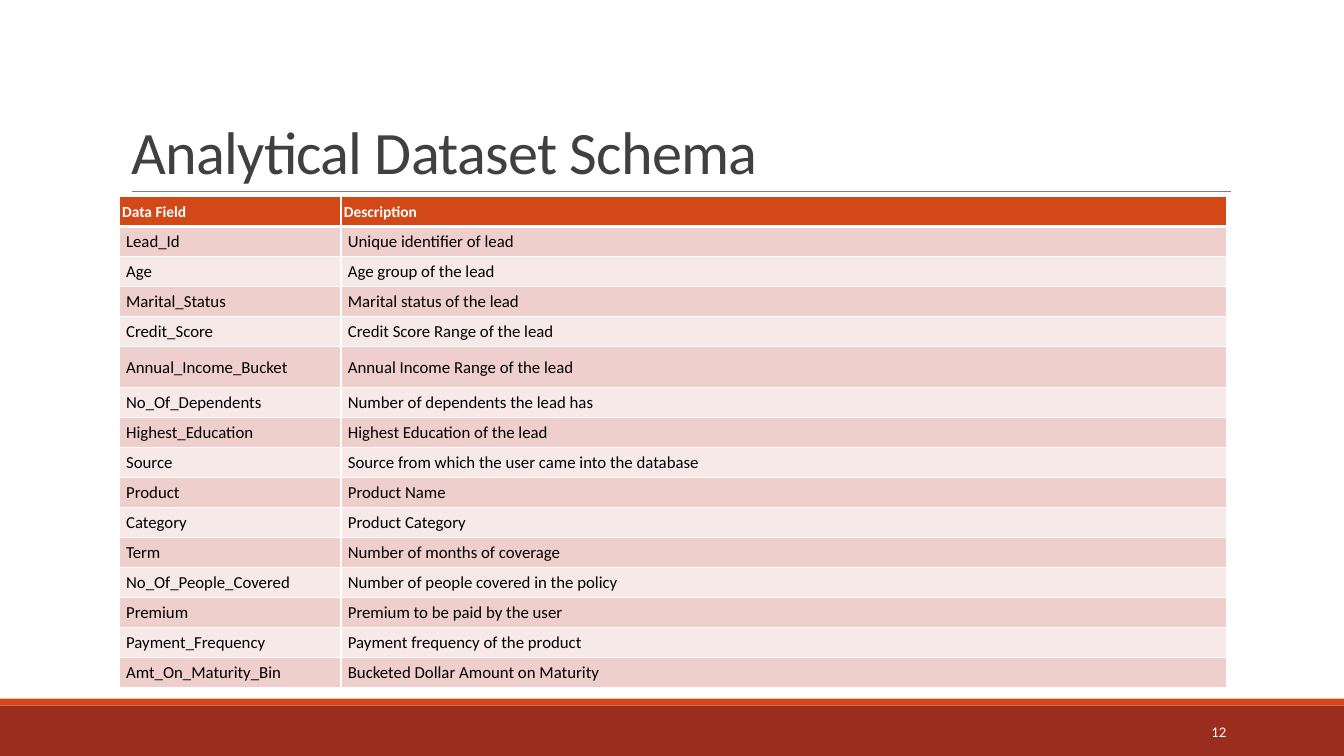
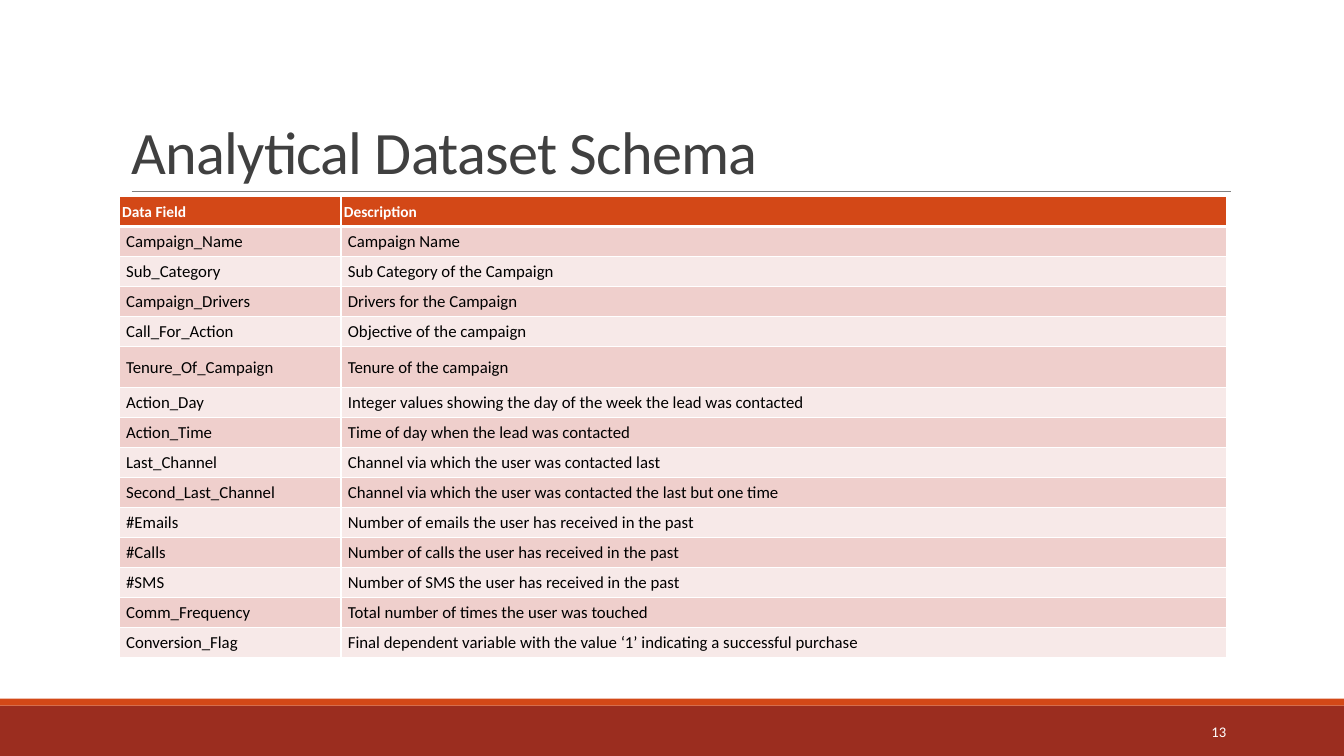
from lxml.etree import SubElement
from pptx import Presentation
from pptx.dml.color import RGBColor
from pptx.enum.shapes import MSO_CONNECTOR, MSO_SHAPE
from pptx.enum.text import MSO_ANCHOR, MSO_AUTO_SIZE, PP_ALIGN
from pptx.oxml import parse_xml
from pptx.oxml.ns import nsdecls, qn
from pptx.util import Pt

FONT = "Calibri"
WHITE, BLACK, TITLE_GREY, RULE_GREY = "FFFFFF", "000000", "404040", "808080"
ORANGE, BRICK = "D34817", "9B2D1F"
ROW_FILLS = ("F7E9E8", "EFCFCC")  # even rows, odd rows

TITLE = "Analytical Dataset Schema"
HEADER = ("Data Field", "Description")
FIRST_PAGE = 12
BANDS = ((504, 36, BRICK), (499, 5, ORANGE))  # top, height, colour
COL_WIDTHS = (158.4, 632.9)
ROW_HEIGHT, TALL_HEIGHT, TALL_ROW = 21.43, 29.2, 5

TABLES = [
    [
        ("Lead_Id", "Unique identifier of lead"),
        ("Age", "Age group of the lead"),
        ("Marital_Status", "Marital status of the lead"),
        ("Credit_Score", "Credit Score Range of the lead"),
        ("Annual_Income_Bucket", "Annual Income Range of the lead"),
        ("No_Of_Dependents", "Number of dependents the lead has"),
        ("Highest_Education", "Highest Education of the lead"),
        ("Source", "Source from which the user came into the database"),
        ("Product", "Product Name"),
        ("Category", "Product Category"),
        ("Term", "Number of months of coverage"),
        ("No_Of_People_Covered", "Number of people covered in the policy"),
        ("Premium", "Premium to be paid by the user"),
        ("Payment_Frequency", "Payment frequency of the product"),
        ("Amt_On_Maturity_Bin", "Bucketed Dollar Amount on Maturity"),
    ],
    [
        ("Campaign_Name", "Campaign Name"),
        ("Sub_Category", "Sub Category of the Campaign"),
        ("Campaign_Drivers", "Drivers for the Campaign"),
        ("Call_For_Action", "Objective of the campaign"),
        ("Tenure_Of_Campaign", "Tenure of the campaign"),
        ("Action_Day", "Integer values showing the day of the week the lead was contacted"),
        ("Action_Time", "Time of day when the lead was contacted"),
        ("Last_Channel", "Channel via which the user was contacted last"),
        ("Second_Last_Channel", "Channel via which the user was contacted the last but one time"),
        ("#Emails", "Number of emails the user has received in the past"),
        ("#Calls", "Number of calls the user has received in the past"),
        ("#SMS", "Number of SMS the user has received in the past"),
        ("Comm_Frequency", "Total number of times the user was touched"),
        ("Conversion_Flag", "Final dependent variable with the value ‘1’ indicating a successful purchase"),
    ],
]


def rgb(color):
    return RGBColor.from_string(color)


def set_text(tf, text, size, color, bold=False, align=PP_ALIGN.LEFT, spacing=1.0):
    """Write one formatted paragraph and return its run."""
    tf.text = text
    p = tf.paragraphs[0]
    p.alignment, p.line_spacing = align, spacing
    r = p.runs[0]
    r.font.name, r.font.size, r.font.bold = FONT, Pt(size), bold
    r.font.color.rgb = rgb(color)
    return r


prs = Presentation()
prs.slide_width, prs.slide_height = Pt(960), Pt(540)

for page, fields in enumerate(TABLES, FIRST_PAGE):
    s = prs.slides.add_slide(prs.slide_layouts.get_by_name("Title Only"))

    # Bands and title rule
    for top, height, color in BANDS:
        band = s.shapes.add_shape(MSO_SHAPE.RECTANGLE, 0, Pt(top), prs.slide_width, Pt(height))
        band.shadow.inherit = False
        band.fill.solid()
        band.fill.fore_color.rgb = rgb(color)
        band.line.fill.background()
    rule = s.shapes.add_connector(MSO_CONNECTOR.STRAIGHT, Pt(94), Pt(136.8), Pt(879), Pt(136.8))
    rule.line.color.rgb = rgb(RULE_GREY)
    rule.line.width = Pt(0.5)
    SubElement(rule._element.spPr, qn("a:effectLst"))

    # Title
    title = s.shapes.title
    title.left, title.top, title.width, title.height = Pt(86.4), Pt(22.5), Pt(792), Pt(114.2)
    tf = title.text_frame
    tf.auto_size = MSO_AUTO_SIZE.NONE
    tf.vertical_anchor = MSO_ANCHOR.BOTTOM
    r = set_text(tf, TITLE, 43, TITLE_GREY, spacing=0.85)
    r.font._element.set("spc", "-50")

    # Schema table
    rows = [HEADER] + fields
    heights = [TALL_HEIGHT if i == TALL_ROW else ROW_HEIGHT for i in range(len(rows))]
    table = s.shapes.add_table(len(rows), len(HEADER), Pt(85.2), Pt(140.4),
                               Pt(sum(COL_WIDTHS)), Pt(sum(heights))).table
    for col, width in zip(table.columns, COL_WIDTHS):
        col.width = Pt(width)
    for i, (row, height) in enumerate(zip(rows, heights)):
        table.rows[i].height = Pt(height)
        is_header = i == 0
        borders = {"lnL": 1, "lnR": 1, "lnT": 3 if i == 1 else 1, "lnB": 3 if is_header else 1}
        for j, text in enumerate(row):
            cell = table.cell(i, j)
            cell.vertical_anchor = MSO_ANCHOR.MIDDLE
            cell.margin_left = cell.margin_right = Pt(2 if is_header else 4.9)
            cell.margin_top = cell.margin_bottom = 0
            for side, width in borders.items():
                cell._tc.get_or_add_tcPr().append(parse_xml(
                    f'<a:{side} {nsdecls("a")} w="{Pt(width)}"><a:solidFill>'
                    f'<a:srgbClr val="{WHITE}"/></a:solidFill></a:{side}>'))
            cell.fill.solid()
            cell.fill.fore_color.rgb = rgb(ORANGE if is_header else ROW_FILLS[i % 2])
            set_text(cell.text_frame, text, 11 if is_header else 12,
                     WHITE if is_header else BLACK, bold=is_header, spacing=1.07)

    # Page number
    tf = s.shapes.add_textbox(Pt(780), Pt(508.5), Pt(103), Pt(28.8)).text_frame
    tf.word_wrap = True
    tf.vertical_anchor = MSO_ANCHOR.MIDDLE
    set_text(tf, str(page), 10.5, WHITE, align=PP_ALIGN.RIGHT)

prs.save("out.pptx")
